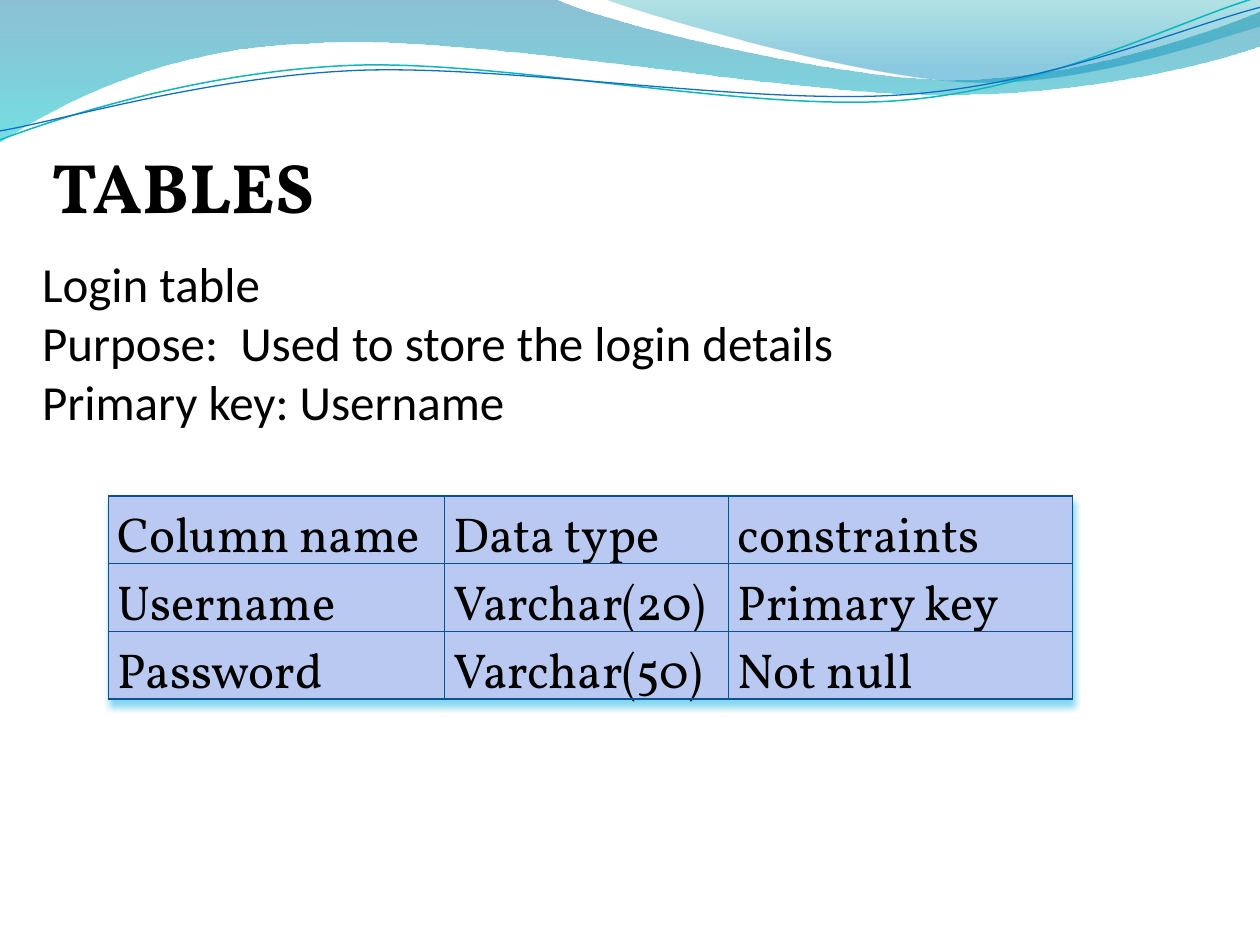
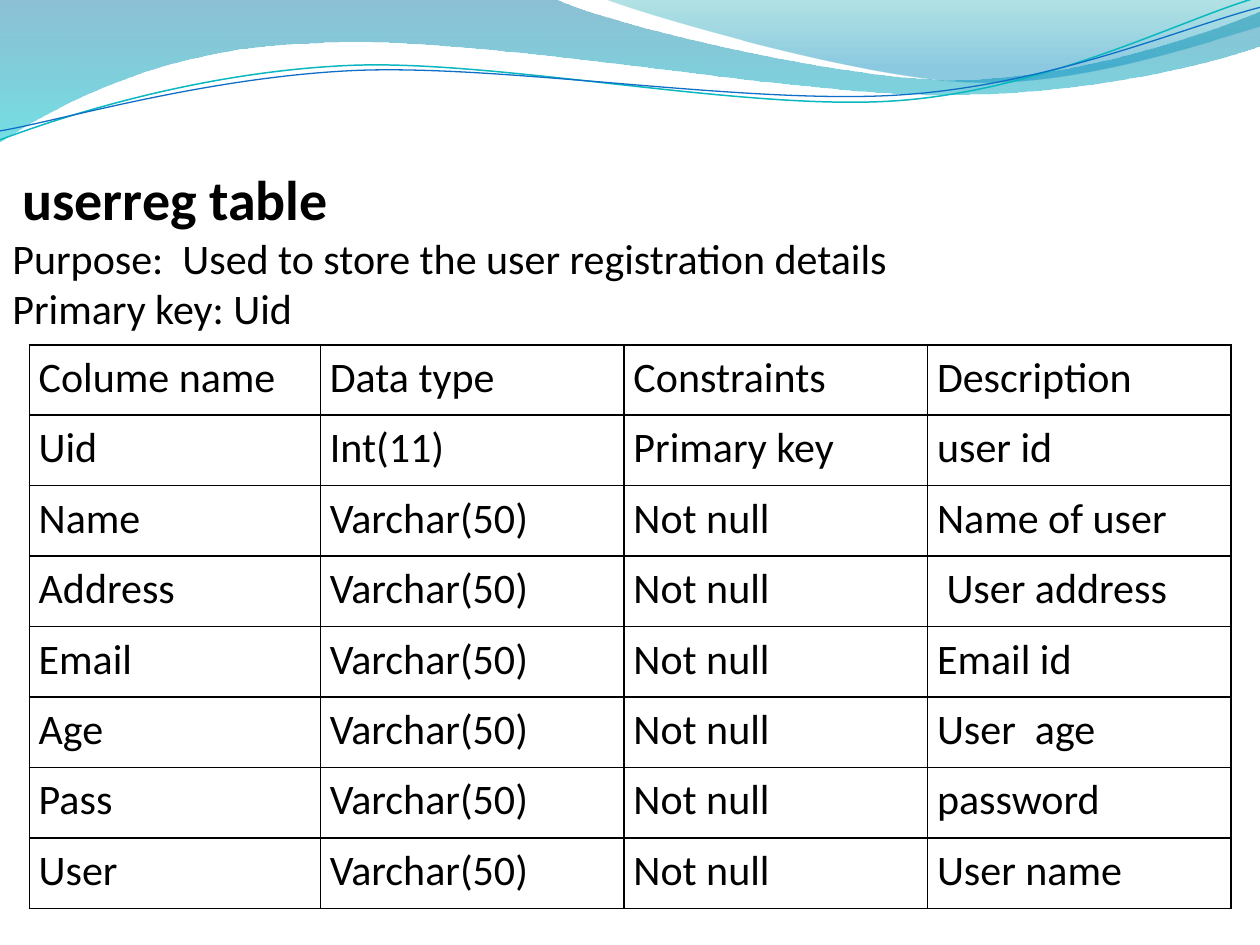
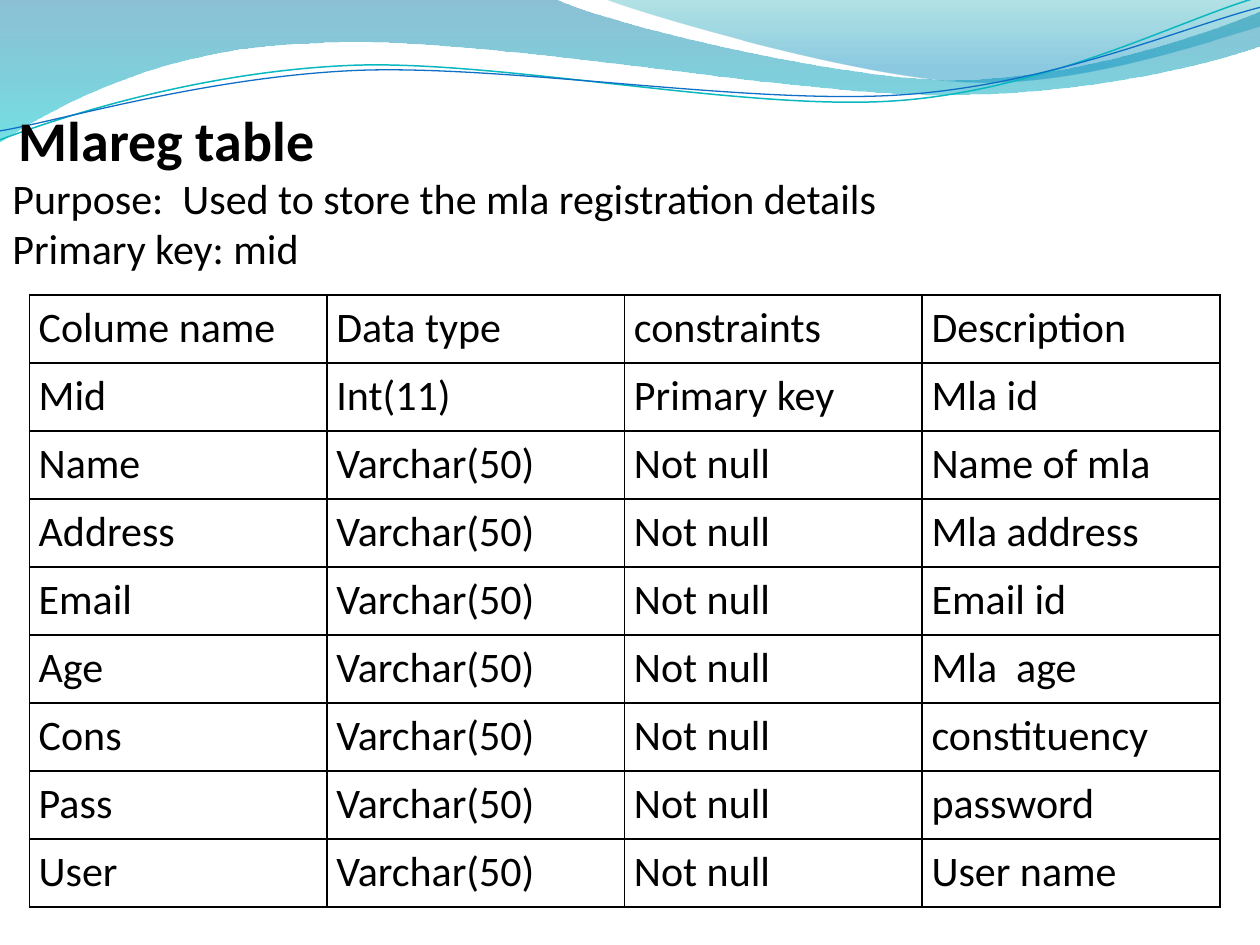
from dataclasses import dataclass
from typing import Optional

from lxml.etree import SubElement
from pptx import Presentation
from pptx.dml.color import RGBColor
from pptx.oxml import parse_xml
from pptx.oxml.ns import nsdecls, qn
from pptx.util import Cm, Pt

BLACK = "000000"
BODY_FONT = "Calibri"
HEAD_FONT = "Vollkorn"
SHADOW = f"""<a:effectLst {nsdecls("a")}>
  <a:outerShdw blurRad="50800" dist="38100" dir="5400000" algn="t" rotWithShape="0">
    <a:srgbClr val="0BB0E0"><a:alpha val="50000"/></a:srgbClr>
  </a:outerShdw>
</a:effectLst>"""


@dataclass(frozen=True)
class Stop:
    """One gradient stop with its opacity in percent."""
    position: float
    color: str
    opacity: int


@dataclass(frozen=True)
class Wave:
    """A header outline; each segment is one line point or three Bézier points."""
    start: tuple
    segments: tuple
    stops: tuple = ()
    line: str = ""
    width: float = 0


@dataclass(frozen=True)
class Line:
    """One paragraph of a text box."""
    text: str
    size: float
    font: str = BODY_FONT
    bold: bool = False
    indent: float = 0


@dataclass(frozen=True)
class TextBox:
    """A text box placed in centimetres."""
    left: float
    top: float
    width: float
    height: float
    lines: tuple


@dataclass(frozen=True)
class Grid:
    """A bordered table placed in centimetres."""
    left: float
    top: float
    columns: tuple
    row_height: float
    rows: tuple
    size: float = 24
    font: str = BODY_FONT
    border: str = BLACK
    border_width: float = 1
    fill: Optional[str] = None
    shadow: bool = False


WAVES = (
    Wave((0, 0), (
        ((11.18, -0.03),),
        ((12.09, 0.43), (16.87, 1.6), (19.25, 1.6)),
        ((21.67, 1.6), (24.33, 0.66), (25.4, 0.23)),
        ((25.43, 0.91),),
        ((24.97, 1.12), (22.1, 1.93), (18.95, 1.91)),
        ((15.8, 1.91), (9.7, 0.71), (6.53, 0.86)),
        ((3.28, 0.91), (1.17, 2.11), (-0.03, 2.87)),
        ((0, 0),),
    ), stops=(Stop(0, "0074A1", 45), Stop(1, "00C6CF", 55))),
    Wave((12.17, -0.03), (
        ((12.93, 0.28), (17.32, 1.57), (19.53, 1.65)),
        ((21.74, 1.75), (24.41, 0.81), (25.4, 0.53)),
        ((25.4, 0),),
        ((12.17, -0.03),),
    ), stops=(Stop(0, "00A1A9", 30), Stop(0.8, "008BBF", 45))),
    Wave((0, 2.82), (
        ((1.22, 2.36), (4.01, 1.45), (7.04, 1.32)),
        ((10.03, 1.19), (15.06, 2.26), (18.11, 2.03)),
        ((21.16, 1.8), (23.83, 0.38), (25.35, -0.05)),
    ), line="0AB8BF", width=0.85),
    Wave((0, 2.64), (
        ((1.19, 2.44), (4.17, 1.55), (7.19, 1.42)),
        ((10.24, 1.3), (15.16, 2.13), (18.21, 1.91)),
        ((21.23, 1.7), (23.9, 0.53), (25.4, 0.15)),
    ), line="0F6FC6", width=0.75),
)


def rgb(color: str) -> RGBColor:
    """Turn a hex string into a colour."""
    return RGBColor.from_string(color)


def bend(s, segments: tuple) -> None:
    """Turn the straight segments that have control points into curves."""
    for straight, points in zip(list(s._element.iter(qn("a:lnTo"))), segments):
        if len(points) == 3:
            curve = straight.makeelement(qn("a:cubicBezTo"))
            for x, y in points:
                SubElement(curve, qn("a:pt"),
                           x=str(Cm(x) - s.left), y=str(Cm(y) - s.top))
            straight.getparent().replace(straight, curve)


def draw_wave(slide, wave: Wave) -> None:
    """Draw one filled or stroked wave."""
    first, *rest = [(Cm(x), Cm(y)) for x, y in
                    (wave.start, *(points[-1] for points in wave.segments))]
    builder = slide.shapes.build_freeform(*first)
    builder.add_line_segments(rest, close=bool(wave.stops))
    s = builder.convert_to_shape()
    bend(s, wave.segments)
    s.shadow.inherit = False
    if not wave.stops:
        s.fill.background()
        s.line.color.rgb = rgb(wave.line)
        s.line.width = Pt(wave.width)
        return
    s.line.fill.background()
    s.fill.gradient()
    s.fill.gradient_angle = 270
    for target, stop in zip(s.fill.gradient_stops, wave.stops):
        target.position = stop.position
        target.color.rgb = rgb(stop.color)
    for color, stop in zip(s._element.spPr.iter(qn("a:srgbClr")), wave.stops):
        SubElement(color, qn("a:alpha"), val=str(stop.opacity * 1000))


def write(p, text: str, *, size: float, font: str = BODY_FONT, bold: bool = False,
          color: str = BLACK, spacing: float = 1, indent: float = 0) -> None:
    """Write formatted text into a paragraph."""
    if indent:
        p._p.get_or_add_pPr().set("marL", str(Cm(indent)))
    p.line_spacing = spacing
    r = p.add_run()
    r.text = text
    r.font.size = Pt(size)
    r.font.name = font
    r.font.bold = bold
    r.font.color.rgb = rgb(color)


def draw_text(slide, box: TextBox) -> None:
    """Draw a text box with its paragraphs."""
    tf = slide.shapes.add_textbox(
        Cm(box.left), Cm(box.top), Cm(box.width), Cm(box.height)).text_frame
    tf.word_wrap = True
    for i, line in enumerate(box.lines):
        p = tf.add_paragraph() if i else tf.paragraphs[0]
        write(p, line.text, size=line.size, font=line.font,
              bold=line.bold, indent=line.indent)


def set_borders(cell, color: str, width: float) -> None:
    """Give a cell the same line on all four sides."""
    tcPr = cell._tc.get_or_add_tcPr()
    for side in ("lnL", "lnR", "lnT", "lnB"):
        ln = SubElement(tcPr, qn(f"a:{side}"), w=str(Pt(width)))
        SubElement(SubElement(ln, qn("a:solidFill")), qn("a:srgbClr"), val=color)


def draw_grid(slide, grid: Grid) -> None:
    """Draw a table."""
    table = slide.shapes.add_table(
        len(grid.rows), len(grid.columns), Cm(grid.left), Cm(grid.top),
        Cm(sum(grid.columns)), Cm(grid.row_height * len(grid.rows))).table
    table.first_row = table.horz_banding = False
    if grid.shadow:
        table._tbl.tblPr.insert(0, parse_xml(SHADOW))
    for column, width in zip(table.columns, grid.columns):
        column.width = Cm(width)
    for row, texts in zip(table.rows, grid.rows):
        row.height = Cm(grid.row_height)
        for cell, text in zip(row.cells, texts):
            cell.margin_left = cell.margin_right = Cm(0.19)
            cell.margin_top = cell.margin_bottom = 0
            set_borders(cell, grid.border, grid.border_width)
            if grid.fill:
                cell.fill.solid()
                cell.fill.fore_color.rgb = rgb(grid.fill)
            else:
                cell.fill.background()
            write(cell.text_frame.paragraphs[0], text, size=grid.size,
                  font=grid.font, spacing=1.15)


def required(name: str, description: str) -> tuple:
    """Describe a mandatory text column."""
    return name, "Varchar(50)", "Not null", description


def summary(title: str, purpose: str, key: str, indent: float) -> tuple:
    """Make the heading lines of a registration table."""
    return (Line(title, 32, bold=True, indent=indent),
            Line(f"Purpose:  {purpose}", 24),
            Line(f"Primary key: {key}", 24))


SLIDES = (
    (
        TextBox(0.79, 2.77, 14.48, 1.96, (Line("TABLES", 40, HEAD_FONT, True),)),
        Grid(2.18, 10, (6.78, 5.72, 6.94), 1.36, (
            ("Column name", "Data type", "constraints"),
            ("Username", "Varchar(20)", "Primary key"),
            ("Password", "Varchar(50)", "Not null"),
        ), size=28, font=HEAD_FONT, border="095295", border_width=0.75,
            fill="BAC9F2", shadow=True),
        TextBox(0.6, 4.99, 24, 5.05, (
            Line("Login table", 28),
            Line("Purpose:  Used to store the login details", 28),
            Line("Primary key: Username", 28),
        )),
    ),
    (
        Grid(0.59, 6.95, (5.87, 6.12, 6.12, 6.12), 1.42, (
            ("Colume name", "Data type", "Constraints", "Description"),
            ("Uid", "Int(11)", "Primary key", "user id"),
            required("Name", "Name of user"),
            required("Address", " User address"),
            required("Email", "Email id"),
            required("Age", "User  age"),
            required("Pass", "password"),
            required("User", "User name"),
        )),
        TextBox(0, 3.2, 25.4, 4.45, summary(
            "userreg table", "Used to store the user registration details", "Uid", 0.2)),
    ),
    (
        Grid(0.59, 5.95, (6,) * 4, 1.37, (
            ("Colume name", "Data type", "constraints", "Description"),
            ("Mid", "Int(11)", "Primary key", "Mla id"),
            required("Name", "Name of mla"),
            required("Address", "Mla address"),
            required("Email", "Email id"),
            required("Age", "Mla  age"),
            required("Cons", "constituency"),
            required("Pass", "password"),
            required("User", "User name"),
        )),
        TextBox(0, 2, 23.22, 4.45, summary(
            "Mlareg table", "Used to store the mla registration details", "mid", 0.13)),
    ),
)


def main() -> None:
    """Build and save the presentation."""
    prs = Presentation()
    prs.slide_width, prs.slide_height = Cm(25.4), Cm(19.05)
    draw = {TextBox: draw_text, Grid: draw_grid}
    for items in SLIDES:
        slide = prs.slides.add_slide(prs.slide_layouts[6])
        for wave in WAVES:
            draw_wave(slide, wave)
        for item in items:
            draw[type(item)](slide, item)
    prs.save("out.pptx")


if __name__ == "__main__":
    main()
